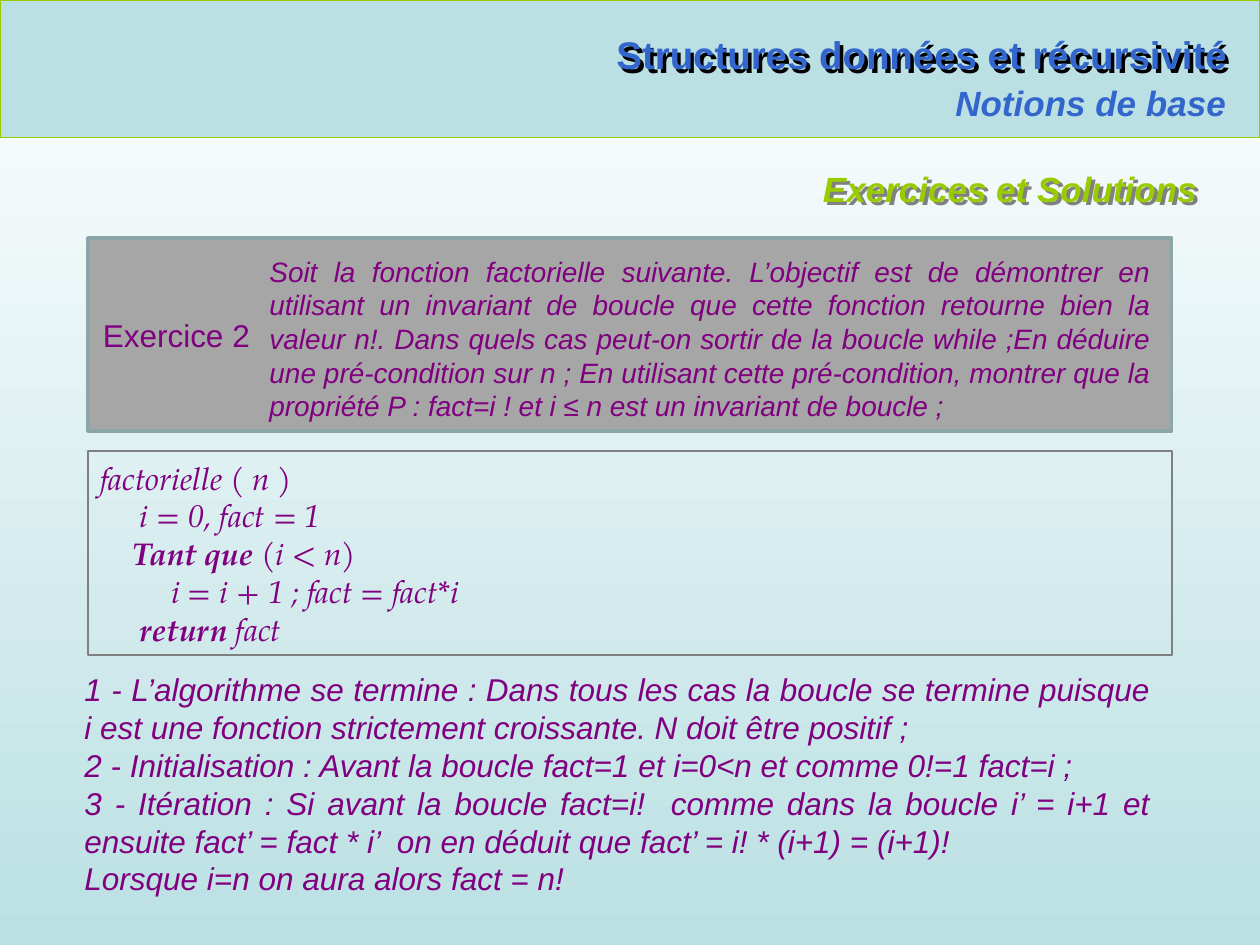
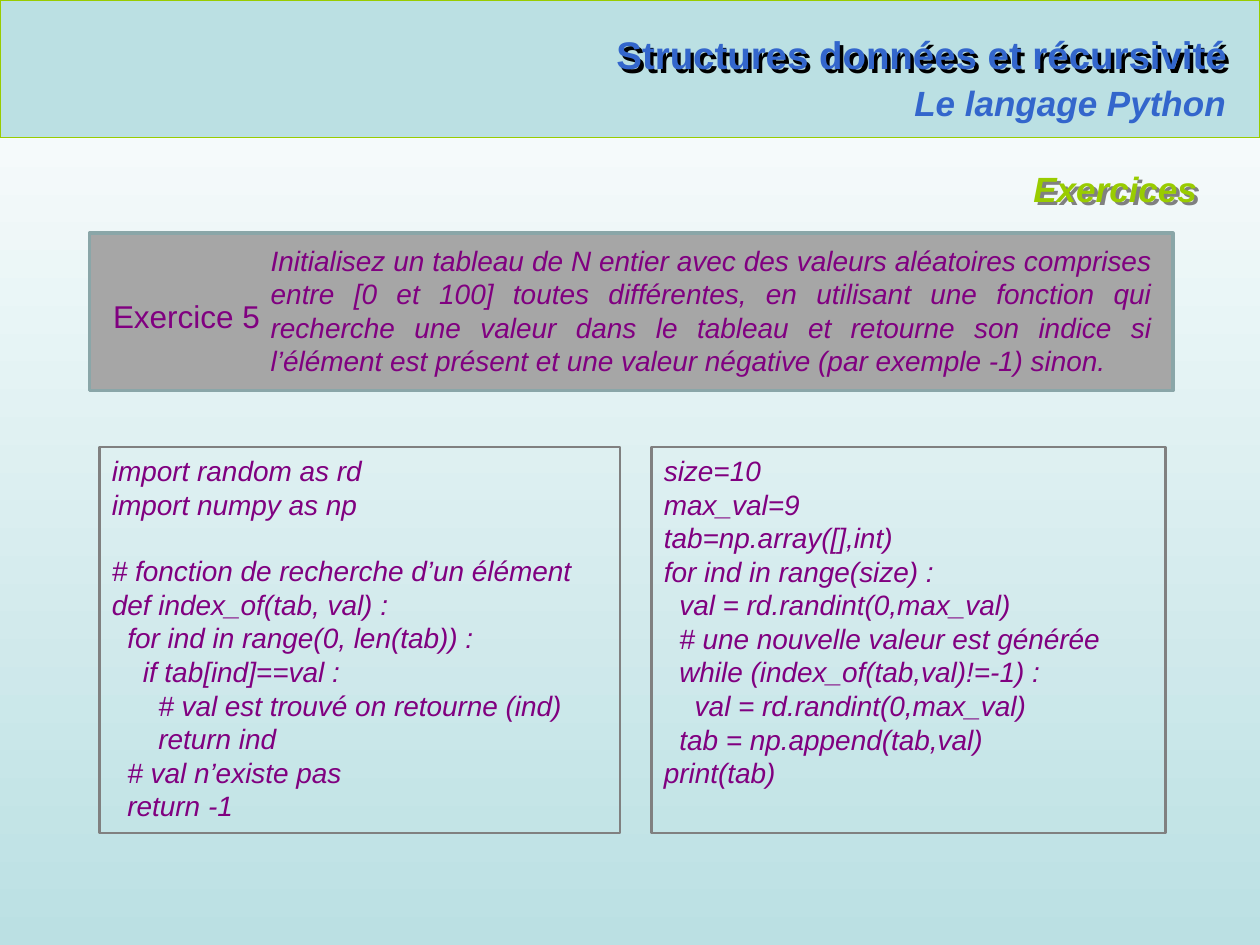
from lxml import etree
from pptx import Presentation
from pptx.dml.color import RGBColor
from pptx.enum import shapes, text
from pptx.oxml import ns
from pptx.util import Inches, Pt

BLUE = RGBColor(0x33, 0x66, 0xCC)
GREEN = RGBColor(0x99, 0xCC, 0x00)
PALE_BLUE = RGBColor(0xBB, 0xE0, 0xE3)
PURPLE = RGBColor(0x80, 0x00, 0x80)
PANEL_GREY = RGBColor(0xA6, 0xA6, 0xA6)
PANEL_EDGE = RGBColor(0x8A, 0xA6, 0xA8)
GREY = RGBColor(0x80, 0x80, 0x80)
BLACK = RGBColor(0, 0, 0)
WHITE = RGBColor(0xFF, 0xFF, 0xFF)

SANS = "Arial"
SERIF = "TeX Gyre Pagella"
RIGHT, CENTER = text.PP_ALIGN.RIGHT, text.PP_ALIGN.CENTER
LEFT, JUSTIFY = text.PP_ALIGN.LEFT, text.PP_ALIGN.JUSTIFY

COURSE = "Structures données et récursivité"

FACTORIAL_TASK = (
    "Soit la fonction factorielle suivante. L’objectif est de démontrer en utilisant un "
    "invariant de boucle que cette fonction retourne bien la valeur n!. Dans quels cas "
    "peut-on sortir de la boucle while ;En déduire une pré-condition sur n ; En utilisant "
    "cette pré-condition, montrer que la propriété P : fact=i ! et i ≤ n est un invariant "
    "de boucle ;")
FACTORIAL_CODE = [
    "factorielle ( n )",
    "     i = 0, fact = 1",
    [("    ", False), ("Tant que ", True), ("(i < n)", False)],
    "         i = i + 1 ; fact = fact*i",
    [("     ", False), ("return ", True), ("fact", False)],
]
FACTORIAL_PROOF = [
    "1 - L’algorithme se termine : Dans tous les cas la boucle se termine puisque i est "
    "une fonction strictement croissante. N doit être positif ;",
    "2 - Initialisation : Avant la boucle fact=1 et i=0<n et comme 0!=1 fact=i ;",
    "3 - Itération : Si avant la boucle fact=i!  comme dans la boucle i’ = i+1 et ensuite "
    "fact’ = fact * i’  on en déduit que fact’ = i! * (i+1) = (i+1)!",
    "Lorsque i=n on aura alors fact = n!",
]
ARRAY_TASK = (
    "Initialisez un tableau de N entier avec des valeurs aléatoires comprises entre "
    "[0 et 100] toutes différentes, en utilisant une fonction qui recherche une valeur "
    "dans le tableau et retourne son indice si l’élément est présent et une valeur "
    "négative (par exemple -1) sinon.")
SEARCH_CODE = [
    "import random as rd",
    "import numpy as np",
    "# fonction de recherche d’un élément",
    "def index_of(tab, val) :",
    "  for ind in range(0, len(tab)) :",
    "    if tab[ind]==val :",
    "      # val est trouvé on retourne (ind)",
    "      return ind",
    "  # val n’existe pas",
    "  return -1",
]
FILL_CODE = [
    "size=10",
    "max_val=9",
    "tab=np.array([],int)",
    "for ind in range(size) :",
    "  val = rd.randint(0,max_val)",
    "  # une nouvelle valeur est générée",
    "  while (index_of(tab,val)!=-1) :",
    "    val = rd.randint(0,max_val)",
    "  tab = np.append(tab,val)",
    "print(tab)",
]


def inches(*lengths):
    return [Inches(length) for length in lengths]


def write(holder, paragraphs, size=18, color=PURPLE, font=SANS, bold=False, italic=False,
          align=LEFT, anchor=text.MSO_ANCHOR.TOP, wrap=True):
    """Fill a shape; a paragraph is a string or a list of (words, bold) pairs."""
    frame = holder.text_frame
    frame.word_wrap = wrap
    frame.auto_size = text.MSO_AUTO_SIZE.NONE
    frame.vertical_anchor = anchor
    for number, content in enumerate(paragraphs):
        paragraph = frame.add_paragraph() if number else frame.paragraphs[0]
        paragraph.alignment = align
        paragraph.space_before = Pt(0)
        parts = [(content, bold)] if isinstance(content, str) else content
        for words, is_bold in parts:
            run = paragraph.add_run()
            run.text = words
            run.font.name, run.font.size = font, Pt(size)
            run.font.bold, run.font.italic = is_bold, italic
            run.font.color.rgb = color
    return frame


def add_text(slide, box, paragraphs, **style):
    holder = slide.shapes.add_textbox(*inches(*box))
    write(holder, paragraphs, **style)
    return holder


def fill_placeholder(placeholder, box, paragraphs, **style):
    placeholder.left, placeholder.top, placeholder.width, placeholder.height = inches(*box)
    return write(placeholder, paragraphs, **style)


def cast_shadow(holder, color):
    effects = etree.SubElement(holder._element.spPr, ns.qn("a:effectLst"))
    shadow = etree.SubElement(effects, ns.qn("a:outerShdw"), dist="35921", dir="2700000",
                              algn="ctr", rotWithShape="0")
    etree.SubElement(shadow, ns.qn("a:srgbClr"), val=str(color))


def add_box(slide, box, line, weight, fill=None):
    shape = slide.shapes.add_shape(shapes.MSO_SHAPE.RECTANGLE, *inches(*box))
    shape.shadow.inherit = False
    if fill is None:
        shape.fill.background()
    else:
        shape.fill.solid()
        shape.fill.fore_color.rgb = fill
    shape.line.color.rgb = line
    shape.line.width = Pt(weight)
    return shape


def paint_background(slide):
    fill = slide.background.fill
    fill.gradient()
    fill.gradient_angle = 270
    for stop, color, position in zip(fill.gradient_stops, (WHITE, PALE_BLUE), (0, 1)):
        stop.color.rgb = color
        stop.position = position


def add_rule(slide):
    rule = slide.shapes.add_connector(shapes.MSO_CONNECTOR.STRAIGHT,
                                      *inches(0.34, 1.09, 9.76, 1.09))
    rule.line.color.rgb = GREEN
    rule.line.width = Pt(0.75)
    etree.SubElement(rule._element.spPr, ns.qn("a:effectLst"))


def start_slide(deck, layout, chapter, section):
    """Add a slide with the shared background, header band and headings."""
    slide = deck.slides.add_slide(deck.slide_layouts.get_by_name(layout))
    paint_background(slide)
    band = add_box(slide, (0, 0, 10, 1.09), GREEN, 0.75, PALE_BLUE)
    slide.shapes._spTree.insert(2, band._element)  # behind the title
    title = slide.shapes.title
    fill_placeholder(title, (4.53, 0.2, 5.31, 0.47), [COURSE], size=22, color=BLUE,
                     bold=True, align=RIGHT)
    cast_shadow(title, BLACK)
    add_text(slide, (4.73, 0.6, 5.1, 0.44), [chapter], size=20, color=BLUE,
             bold=True, italic=True, align=RIGHT)
    add_rule(slide)
    heading = add_text(slide, (4.2, 1.28, 5.4, 0.44), [section], size=20, color=GREEN,
                       bold=True, italic=True, align=RIGHT)
    cast_shadow(heading, GREY)
    return slide


def add_exercise(slide, panel, label, label_box, task, task_top):
    left, top, width, height = panel
    add_box(slide, panel, PANEL_EDGE, 2, PANEL_GREY)
    add_text(slide, label_box, [label], align=CENTER, wrap=False)
    add_text(slide, (left + 1.34, task_top, 7.19, top + height - task_top), [task],
             size=16, italic=True, align=JUSTIFY)


def add_code(slide, box, lines, **style):
    frame_box = add_box(slide, box, GREY, 1.25)
    return write(frame_box, lines, italic=True, **style)


def main():
    deck = Presentation()
    deck.slide_width, deck.slide_height = inches(10, 7.5)

    # Factorial: loop invariant and proof
    factorial = start_slide(deck, "Title and Content", "Notions de base",
                            "Exercices et Solutions")
    add_exercise(factorial, (0.7, 1.89, 8.6, 1.53), "Exercice 2", (0.7, 2.46, 1.4, 0.4),
                 FACTORIAL_TASK, 1.97)
    add_code(factorial, (0.7, 3.58, 8.6, 1.62), FACTORIAL_CODE, font=SERIF,
             anchor=text.MSO_ANCHOR.MIDDLE)
    proof = fill_placeholder(factorial.placeholders[1], (0.57, 5.27, 8.66, 1.92),
                             FACTORIAL_PROOF, italic=True, align=JUSTIFY)
    for step in proof.paragraphs:
        properties = step._p.get_or_add_pPr()
        properties.set("marL", "0")
        properties.set("indent", "0")
        spacing = properties.find(ns.qn("a:spcBef"))
        spacing.addnext(etree.Element(ns.qn("a:buNone")))

    # Array of distinct random values
    array = start_slide(deck, "Title Only", "Le langage Python", "Exercices")
    add_exercise(array, (0.71, 1.85, 8.6, 1.25), "Exercice 5", (0.79, 2.31, 1.38, 0.4),
                 ARRAY_TASK, 1.88)
    search = add_code(array, (0.79, 3.55, 4.13, 3.06), SEARCH_CODE, size=16)
    search.paragraphs[2].space_before = Pt(19)  # sets the function apart from the imports
    add_code(array, (5.17, 3.55, 4.08, 3.06), FILL_CODE, size=16)

    deck.save("out.pptx")


if __name__ == "__main__":
    main()
